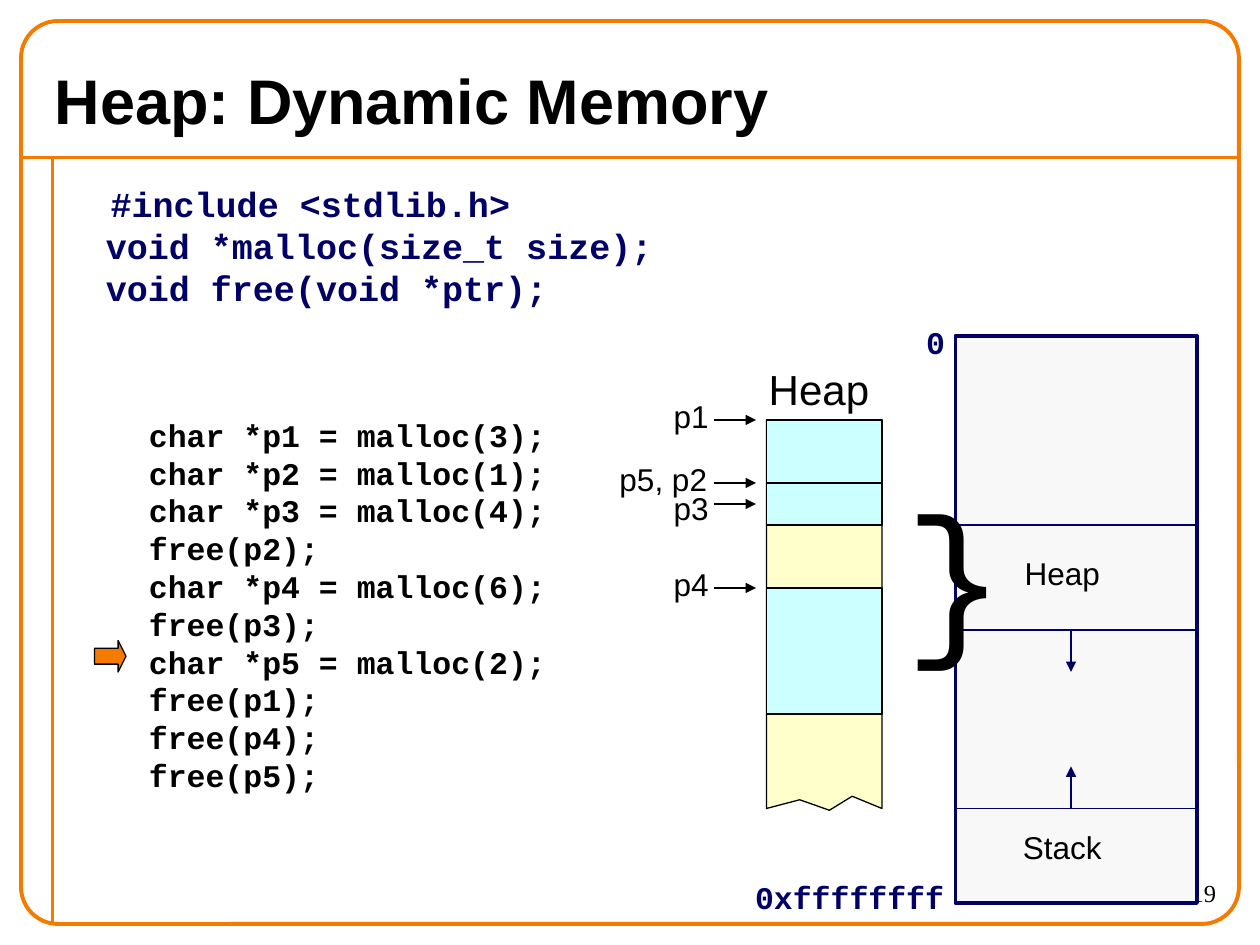
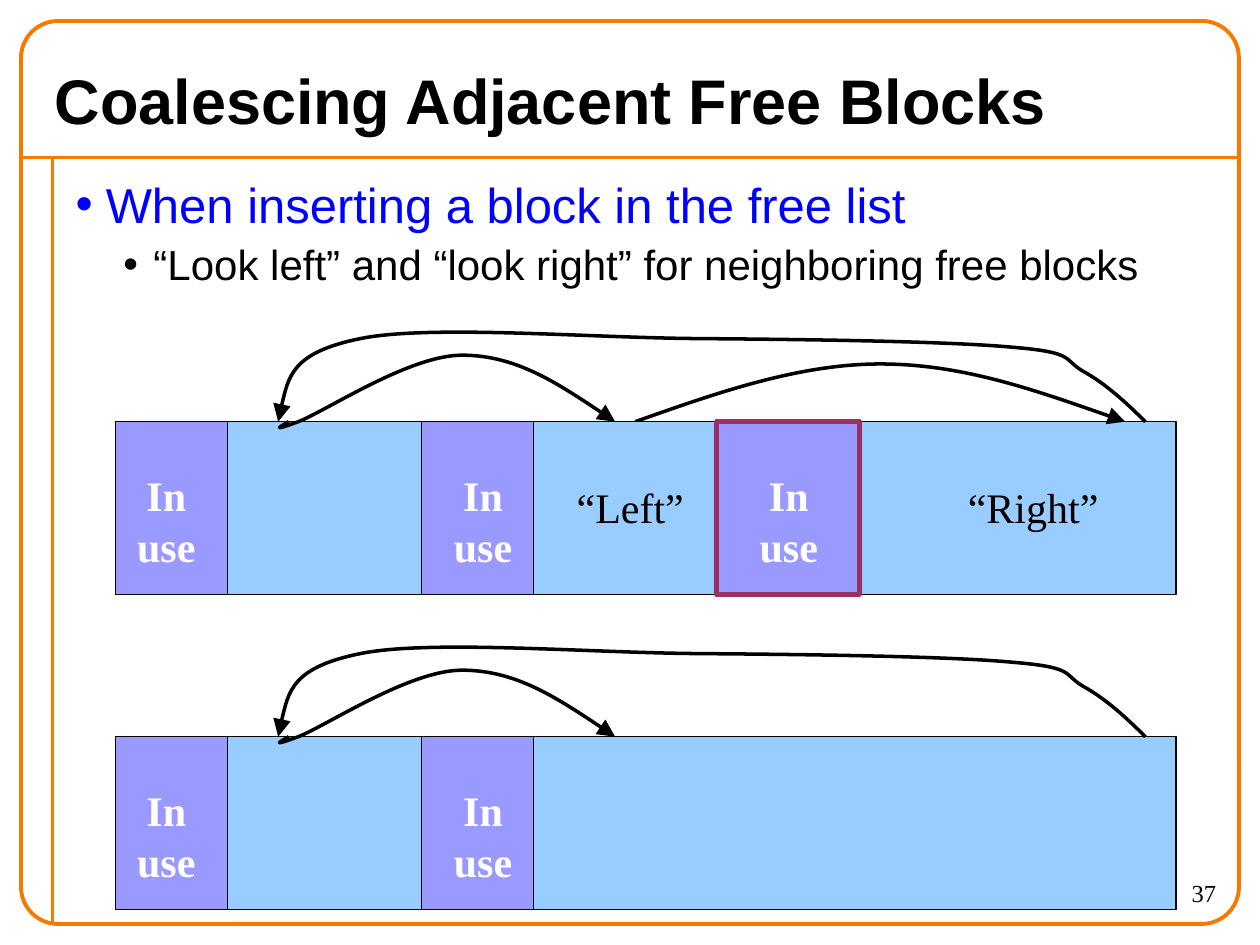
from dataclasses import dataclass

from lxml import etree
from pptx import Presentation
from pptx.dml.color import RGBColor
from pptx.enum.shapes import MSO_CONNECTOR, MSO_SHAPE
from pptx.enum.text import MSO_ANCHOR, MSO_AUTO_SIZE, PP_ALIGN
from pptx.oxml.ns import qn
from pptx.util import Pt

STRAIGHT = MSO_CONNECTOR.STRAIGHT
RECTANGLE = MSO_SHAPE.RECTANGLE
ROUNDED = MSO_SHAPE.ROUNDED_RECTANGLE
RIGHT_ARROW = MSO_SHAPE.RIGHT_ARROW
MIDDLE = MSO_ANCHOR.MIDDLE
TOP = MSO_ANCHOR.TOP
NO_AUTOFIT = MSO_AUTO_SIZE.NONE
LEFT, CENTER, RIGHT = PP_ALIGN.LEFT, PP_ALIGN.CENTER, PP_ALIGN.RIGHT

ORANGE = RGBColor(0xF4, 0x7A, 0x00)
NAVY = RGBColor(0x00, 0x00, 0x66)
BLUE = RGBColor(0x00, 0x00, 0xFF)
BLACK = RGBColor(0x00, 0x00, 0x00)
WHITE = RGBColor(0xFF, 0xFF, 0xFF)
PALE_GRAY = RGBColor(0xF8, 0xF8, 0xF8)
PALE_YELLOW = RGBColor(0xFF, 0xFF, 0xCC)
PALE_CYAN = RGBColor(0xCC, 0xFF, 0xFF)
SKY = RGBColor(0x99, 0xCC, 0xFF)
LAVENDER = RGBColor(0x99, 0x99, 0xFF)
PLUM = RGBColor(0x99, 0x33, 0x66)

SANS, MONO, SERIF = "Arial", "Courier New", "Times New Roman"
LINE_PITCH = 1.2


@dataclass(frozen=True)
class TextStyle:
    font: str
    size: float
    color: RGBColor = BLACK
    bold: bool = False
    align: PP_ALIGN = CENTER


@dataclass(frozen=True)
class Box:
    left: float
    top: float
    width: float
    height: float

    def lengths(self) -> tuple:
        return Pt(self.left), Pt(self.top), Pt(self.width), Pt(self.height)


@dataclass(frozen=True)
class Label:
    text: str
    box: Box
    style: TextStyle


@dataclass(frozen=True)
class Panel:
    box: Box
    fill: RGBColor | None = None
    line: RGBColor = BLACK
    weight: float = 0.75
    kind: MSO_SHAPE = RECTANGLE
    adjustments: tuple = ()


@dataclass(frozen=True)
class Segment:
    start: tuple
    end: tuple
    color: RGBColor = BLACK
    weight: float = 0.75
    arrow: bool = False


@dataclass(frozen=True)
class BodyLine:
    text: str
    style: TextStyle
    margin: float
    indent: float
    space_before: float
    level: int = 0
    bullet: bool = True


TITLE = TextStyle(SANS, 36, bold=True, align=LEFT)
PAGE_NUMBER = TextStyle(SERIF, 14, align=RIGHT)
PROTOTYPES = TextStyle(MONO, 20, NAVY, bold=True, align=LEFT)
CODE = TextStyle(MONO, 18, bold=True, align=LEFT)
ADDRESS = TextStyle(MONO, 18, NAVY, bold=True, align=RIGHT)
REGION = TextStyle(SANS, 18)
HEADING = TextStyle(SANS, 24)
BRACE = TextStyle(MONO, 96)
TOPIC = TextStyle(SANS, 28, BLUE, align=LEFT)
DETAIL = TextStyle(SANS, 24, align=LEFT)
IN_USE = TextStyle(SERIF, 24, WHITE, bold=True)
NEIGHBOR = TextStyle(SERIF, 24, align=LEFT)

FRAME = Panel(Box(12, 12, 696, 516), None, ORANGE, 2.25, ROUNDED, (0.041,))
FRAME_LINES = (
    Segment((12, 90), (708, 90), ORANGE, 2.25),
    Segment((30, 90), (30, 528), ORANGE, 2.25),
)

CODE_LINES = (
    "char *p1 = malloc(3);", "char *p2 = malloc(1);", "char *p3 = malloc(4);",
    "free(p2);", "char *p4 = malloc(6);", "free(p3);", "char *p5 = malloc(2);",
    "free(p1);", "free(p4);", "free(p5);",
)
HEAP_LEFT, HEAP_WIDTH, HEAP_TOP = 438, 66, 240
MEMORY = Box(546, 192, 138, 324)
MEMORY_MIDDLE = 612
HEAP_START, HEAP_END, STACK_START = 300, 360, 462

STRIP_LEFT, STRIP_WIDTH, STRIP_HEIGHT = 66, 606, 98.6
USED_WIDTH = 64
# Each link is a start point followed by three points per curve piece,
# measured from the top of its strip.
LINK_TO_LEFT = (
    (165, 0), (160, 3), (154, 6), (170.5, 0), (187, -6.5), (234, -38),
    (264, -38), (294.5, -38), (322.5, -19.5), (351.5, 0),
)
LINK_TO_RIGHT = (
    (363, 0), (409.5, -16.5), (456.5, -33), (503, -33),
    (549.5, -33), (596, -16.5), (643, 0),
)
LINK_TO_FIRST = (
    (654.5, 0), (643.5, -11), (632, -21.5), (619.5, -28.5), (607, -35.5),
    (615.5, -39.5), (579, -42.5), (542, -46), (460, -47), (398, -47.5),
    (336, -48), (245.5, -55.5), (206, -47.5), (166.5, -39.5), (163, -20), (159, 0),
)


def set_values(target, values: dict) -> None:
    for name, value in values.items():
        setattr(target, name, value)


def format_paragraph(paragraph, style: TextStyle, space_before: float = 0) -> None:
    set_values(paragraph, {
        "alignment": style.align,
        "line_spacing": Pt(style.size * LINE_PITCH),
        "space_before": Pt(space_before),
    })
    for run in paragraph.runs:
        set_values(run.font, {"name": style.font, "size": Pt(style.size), "bold": style.bold})
        run.font.color.rgb = style.color


def add_label(slide, label: Label) -> None:
    frame = slide.shapes.add_textbox(*label.box.lengths()).text_frame
    frame.word_wrap = True
    frame.text = label.text
    for paragraph in frame.paragraphs:
        format_paragraph(paragraph, label.style)


def paint(shape, fill: RGBColor | None, line: RGBColor, weight: float) -> None:
    shape.shadow.inherit = False
    if fill is None:
        shape.fill.background()
    else:
        shape.fill.solid()
        shape.fill.fore_color.rgb = fill
    shape.line.color.rgb = line
    shape.line.width = Pt(weight)


def add_panel(slide, panel: Panel) -> None:
    shape = slide.shapes.add_shape(panel.kind, *panel.box.lengths())
    for index, value in enumerate(panel.adjustments):
        shape.adjustments[index] = value
    paint(shape, panel.fill, panel.line, panel.weight)


def add_arrowhead(shape, size: str = "med") -> None:
    line = shape.element.spPr.find(qn("a:ln"))
    etree.SubElement(line, qn("a:tailEnd"), type="triangle", w=size, len=size)


def add_segment(slide, segment: Segment) -> None:
    ends = (Pt(value) for value in segment.start + segment.end)
    connector = slide.shapes.add_connector(STRAIGHT, *ends)
    connector.line.color.rgb = segment.color
    connector.line.width = Pt(segment.weight)
    if segment.arrow:
        add_arrowhead(connector)
    etree.SubElement(connector.element.spPr, qn("a:effectLst"))


def add_outline(slide, points: tuple, close: bool):
    corners = [(Pt(x), Pt(y)) for x, y in points]
    builder = slide.shapes.build_freeform(*corners[0])
    builder.add_line_segments(corners[1:], close=close)
    return builder.convert_to_shape()


def add_link(slide, points: tuple, strip_top: float) -> None:
    """Draw a curved arrow by joining every three segments into one Bezier."""
    shape = add_outline(slide, tuple((x, strip_top + y) for x, y in points), False)
    paint(shape, None, BLACK, 2)
    add_arrowhead(shape, "lg")
    outline = shape.element.spPr.find(".//" + qn("a:path"))
    segments = outline.findall(qn("a:lnTo"))
    for first in range(0, len(segments), 3):
        curve = etree.SubElement(outline, qn("a:cubicBezTo"))
        for segment in segments[first:first + 3]:
            curve.append(segment[0])
            outline.remove(segment)


def place(placeholder, box: Box, anchor: MSO_ANCHOR):
    names = ("left", "top", "width", "height")
    set_values(placeholder, dict(zip(names, box.lengths())))
    frame = placeholder.text_frame
    set_values(frame, {"vertical_anchor": anchor, "auto_size": NO_AUTOFIT, "word_wrap": True})
    return frame


def fill_body(frame, lines: tuple) -> None:
    frame.text = "\n".join(line.text for line in lines)
    for paragraph, line in zip(frame.paragraphs, lines):
        paragraph.level = line.level
        format_paragraph(paragraph, line.style, line.space_before)
        properties = paragraph._p.get_or_add_pPr()
        properties.set("marL", str(Pt(line.margin)))
        properties.set("indent", str(Pt(line.indent)))
        if line.bullet:
            etree.SubElement(properties, qn("a:buChar"), char="•")
        else:
            etree.SubElement(properties, qn("a:buNone"))


def add_framed_slide(presentation, title: str, number: str, body: tuple, body_top: float):
    slide = presentation.slides.add_slide(presentation.slide_layouts[1])
    for segment in FRAME_LINES:
        add_segment(slide, segment)
    add_panel(slide, FRAME)
    add_label(slide, Label(number, Box(630, 498, 72, 30), PAGE_NUMBER))
    title_frame = place(slide.shapes.title, Box(24, 30, 672, 54), MIDDLE)
    title_frame.text = title
    format_paragraph(title_frame.paragraphs[0], TITLE)
    fill_body(place(slide.placeholders[1], Box(36, body_top, 666, 528 - body_top), TOP), body)
    return slide


def add_heap_slide(presentation) -> None:
    prototypes = "#include <stdlib.h>\vvoid *malloc(size_t size);\vvoid free(void *ptr);"
    body = (BodyLine(prototypes, PROTOTYPES, 17.25, 2.75, 12.5, bullet=False),)
    slide = add_framed_slide(presentation, "Heap: Dynamic Memory", "19", body, 100.5)

    free_area = ((438, 462), (457, 457), (474, 463), (487, 455), (504, 462), (504, 240), (438, 240))
    paint(add_outline(slide, free_area, True), PALE_YELLOW, BLACK, 0.75)
    for top, height in ((HEAP_TOP, 36), (276, 24), (336, 72)):
        add_panel(slide, Panel(Box(HEAP_LEFT, top, HEAP_WIDTH, height), PALE_CYAN))

    add_panel(slide, Panel(MEMORY, PALE_GRAY, NAVY, 2.25))
    for y in (HEAP_START, HEAP_END, STACK_START):
        add_segment(slide, Segment((MEMORY.left, y), (MEMORY.left + MEMORY.width, y), NAVY))
    for start, end in ((HEAP_END, 384), (STACK_START, 438)):
        add_segment(slide, Segment((MEMORY_MIDDLE, start), (MEMORY_MIDDLE, end), NAVY, arrow=True))
    for y in (HEAP_TOP, 276, 288, 336):
        add_segment(slide, Segment((408, y), (432, y), arrow=True))

    labels = (
        Label("0", Box(507, 181, 40, 29), ADDRESS),
        Label("0xffffffff", Box(406, 498, 140.5, 29), ADDRESS),
        Label("Stack", Box(567, 469.5, 80, 29), REGION),
        Label("Heap", Box(567, 313, 80, 29), REGION),
        Label("Heap", Box(418, 204, 100, 36), HEADING),
        Label("}", Box(510, 264, 29, 122.5), BRACE),
        Label("\n".join(CODE_LINES), Box(78, 234, 246, 223), CODE),
        Label("p1", Box(370, 223.5, 50, 29), REGION),
        Label("p5, p2", Box(334, 259.5, 90, 29), REGION),
        Label("p3", Box(370, 276, 50, 29), REGION),
        Label("p4", Box(370, 319.5, 50, 29), REGION),
    )
    for label in labels:
        add_label(slide, label)
    add_panel(slide, Panel(Box(54, 366, 18, 18), ORANGE, kind=RIGHT_ARROW, adjustments=(0.5, 0.25)))


def add_strip(slide, top: float, links: tuple) -> None:
    """Draw a memory strip with its two used blocks and the free-list links."""
    add_panel(slide, Panel(Box(STRIP_LEFT, top, STRIP_WIDTH, STRIP_HEIGHT), SKY))
    for block_left, label_center in ((STRIP_LEFT, 95), (240.75, 276)):
        add_panel(slide, Panel(Box(block_left, top, USED_WIDTH, STRIP_HEIGHT), LAVENDER))
        add_in_use(slide, label_center, top)
    for link in links:
        add_link(slide, link, top)


def add_in_use(slide, center: float, strip_top: float) -> None:
    add_label(slide, Label("In\nuse", Box(center - 30, strip_top + 24, 60, 65), IN_USE))


def add_coalescing_slide(presentation) -> None:
    body = (
        BodyLine("When inserting a block in the free list", TOPIC, 17.25, -17.25, 17.5),
        BodyLine("“Look left” and “look right” for neighboring free blocks",
                 DETAIL, 44.5, -17.25, 3, level=1),
    )
    slide = add_framed_slide(presentation, "Coalescing Adjacent Free Blocks", "37", body, 96)
    before, after = 241, 421
    add_strip(slide, before, (LINK_TO_LEFT, LINK_TO_RIGHT, LINK_TO_FIRST))
    add_panel(slide, Panel(Box(304.75, before, 105, STRIP_HEIGHT), SKY))
    add_panel(slide, Panel(Box(409.5, before, 81.5, STRIP_HEIGHT), LAVENDER, PLUM, 3))
    add_in_use(slide, 450.75, before)
    add_strip(slide, after, (LINK_TO_LEFT, LINK_TO_FIRST))
    for text, left in (("“Left”", 322.5), ("“Right”", 546)):
        add_label(slide, Label(text, Box(left, 271.5, 105, 36), NEIGHBOR))


def main() -> None:
    presentation = Presentation()
    presentation.slide_width = Pt(720)
    presentation.slide_height = Pt(540)
    add_heap_slide(presentation)
    add_coalescing_slide(presentation)
    presentation.save("out.pptx")


if __name__ == "__main__":
    main()
